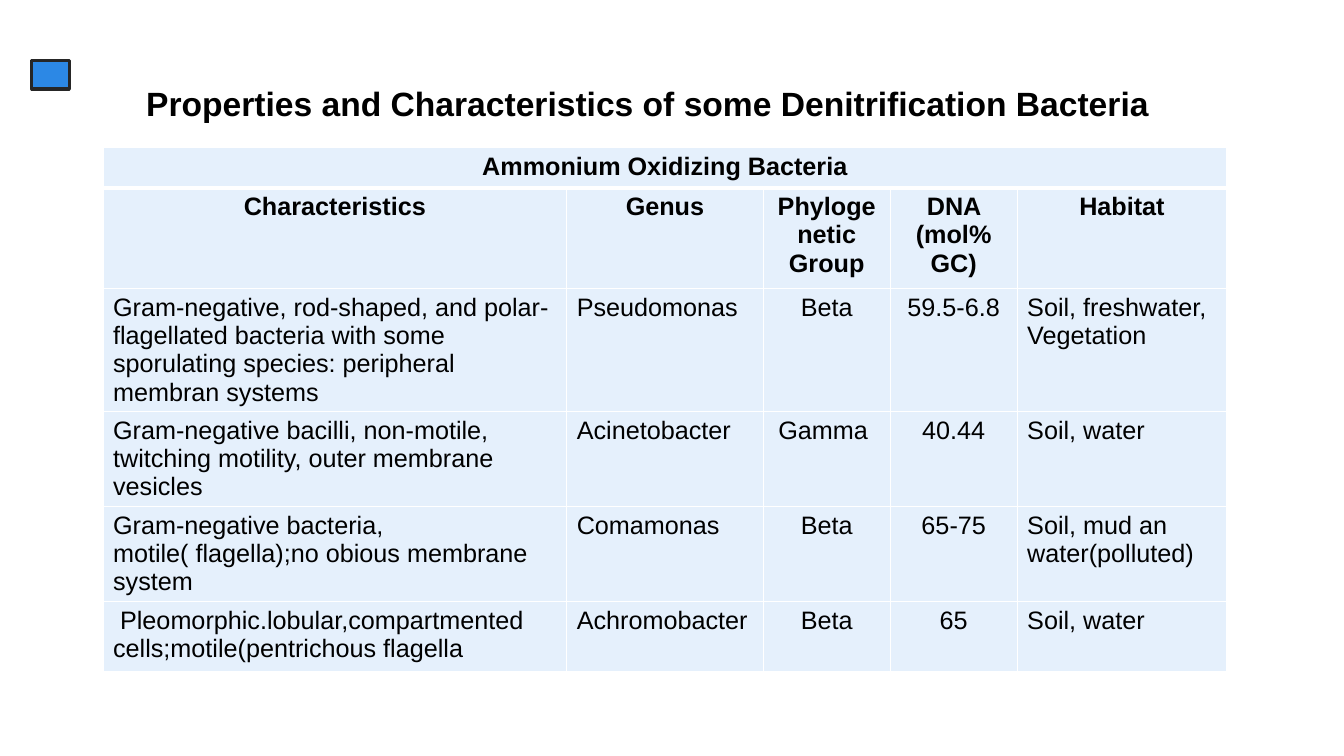
import pptx
import pptx.util
import pptx.dml.color
import pptx.enum.shapes
import pptx.enum.text
import pptx.oxml
import pptx.oxml.ns

Pt = pptx.util.Pt
RGBColor = pptx.dml.color.RGBColor
ALIGN = pptx.enum.text.PP_ALIGN

BLACK = RGBColor(0x00, 0x00, 0x00)
WHITE = RGBColor(0xFF, 0xFF, 0xFF)
BLUE = RGBColor(0x2C, 0x88, 0xE5)
CHARCOAL = RGBColor(0x26, 0x26, 0x26)
PALE_BLUE = RGBColor(0xE5, 0xF0, 0xFC)
FONT = "Arial"

TITLE = "Properties and Characteristics of some Denitrification Bacteria"
TABLE_HEADING = "Ammonium Oxidizing Bacteria"
COLUMN_HEADINGS = ["Characteristics", "Genus", "Phylogenetic Group", "DNA (mol% GC)", "Habitat"]
BACTERIA = [
    ["Gram-negative, rod-shaped, and polar-flagellated bacteria with some "
     "sporulating species: peripheral membran systems",
     "Pseudomonas", "Beta", "59.5-6.8", "Soil, freshwater, Vegetation"],
    ["Gram-negative bacilli, non-motile, twitching motility, outer membrane vesicles",
     "Acinetobacter", "Gamma ", "40.44", "Soil, water"],
    ["Gram-negative bacteria, motile( flagella);no obious membrane system",
     "Comamonas", "Beta", "65-75", "Soil, mud an water(polluted)"],
    [" Pleomorphic.lobular,compartmented cells;motile(pentrichous flagella",
     "Achromobacter", "Beta", "65", "Soil, water"],
]
COLUMN_WIDTHS = [331.2, 140.4, 90.7, 90.7, 149.8]
ROW_HEIGHTS = [28.8, 72, 72, 50.4, 50.4, 50.4]
CENTRED_COLUMNS = (2, 3)
HEADER_ROWS = 2


def write(frame, text, size, bold, align):
    para = frame.paragraphs[0]
    para.alignment = align
    span = para.add_run()
    span.text = text
    span.font.name = FONT
    span.font.size = Pt(size)
    span.font.bold = bold
    span.font.color.rgb = BLACK


def set_borders(cell, widths):
    """Draw white borders; widths in points for left, right, top, bottom."""
    properties = cell._tc.get_or_add_tcPr()
    for index, (side, width) in enumerate(zip("LRTB", widths)):
        border = pptx.oxml.parse_xml(
            f'<a:ln{side} {pptx.oxml.ns.nsdecls("a")} w="{Pt(width)}">'
            f'<a:solidFill><a:srgbClr val="{WHITE}"/></a:solidFill></a:ln{side}>')
        properties.insert(index, border)


def add_marker(page, left, top, width, height):
    marker = page.shapes.add_shape(pptx.enum.shapes.MSO_SHAPE.RECTANGLE,
                                   Pt(left), Pt(top), Pt(width), Pt(height))
    marker.shadow.inherit = False
    marker.fill.solid()
    marker.fill.fore_color.rgb = BLUE
    marker.line.color.rgb = CHARCOAL
    marker.line.width = Pt(2.25)


def add_title(page, left, top, width, height):
    box = page.shapes.title
    box.left, box.top, box.width, box.height = Pt(left), Pt(top), Pt(width), Pt(height)
    frame = box.text_frame
    frame.word_wrap = True
    frame.auto_size = pptx.enum.text.MSO_AUTO_SIZE.NONE
    frame.vertical_anchor = pptx.enum.text.MSO_ANCHOR.TOP
    write(frame, TITLE, 24, True, ALIGN.LEFT)


def add_bacteria_table(page, left, top):
    rows = [[TABLE_HEADING] + [""] * (len(COLUMN_HEADINGS) - 1), COLUMN_HEADINGS] + BACTERIA
    table = page.shapes.add_table(len(rows), len(COLUMN_WIDTHS), Pt(left), Pt(top),
                                  Pt(sum(COLUMN_WIDTHS)), Pt(sum(ROW_HEIGHTS))).table
    table.first_row = table.horz_banding = False
    for column, width in zip(table.columns, COLUMN_WIDTHS):
        column.width = Pt(width)
    for row, height in zip(table.rows, ROW_HEIGHTS):
        row.height = Pt(height)

    # Heading across all columns
    table.cell(0, 0).merge(table.cell(0, len(COLUMN_WIDTHS) - 1))

    for row_index, texts in enumerate(rows):
        header = row_index < HEADER_ROWS
        for column_index, text in enumerate(texts):
            cell = table.cell(row_index, column_index)
            cell.fill.solid()
            cell.fill.fore_color.rgb = PALE_BLUE
            # Thicker rule under the heading
            set_borders(cell, (1, 1, 3 if row_index == 1 else 1, 3 if row_index == 0 else 1))
            if text:
                centred = header or column_index in CENTRED_COLUMNS
                write(cell.text_frame, text, 18, header, ALIGN.CENTER if centred else ALIGN.LEFT)


def main():
    deck = pptx.Presentation()
    deck.slide_width, deck.slide_height = Pt(960), Pt(540)
    page = deck.slides.add_slide(deck.slide_layouts.get_by_name("Title Only"))
    add_marker(page, 22.8, 43.2, 26.8, 20.4)
    add_bacteria_table(page, 73.6, 105.4)
    add_title(page, 97.2, 55.6, 754.6, 36)
    deck.save("out.pptx")


if __name__ == "__main__":
    main()
